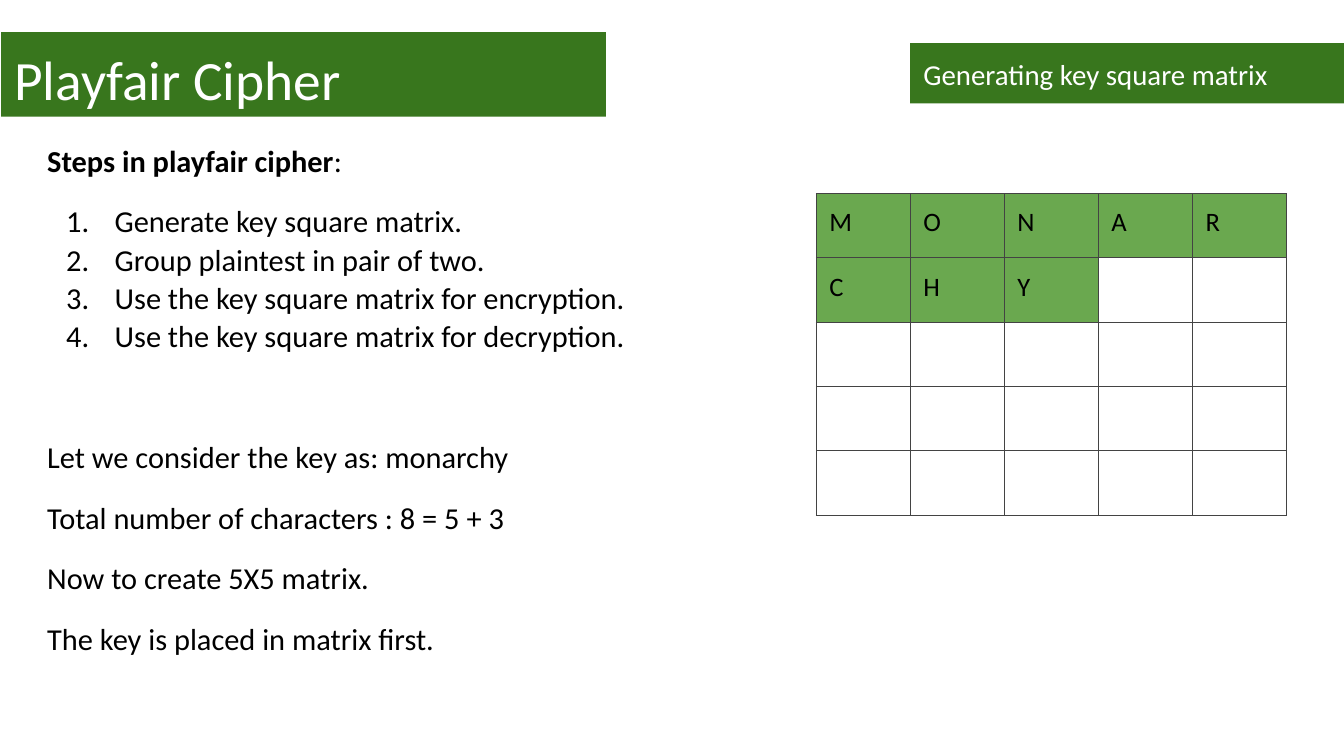
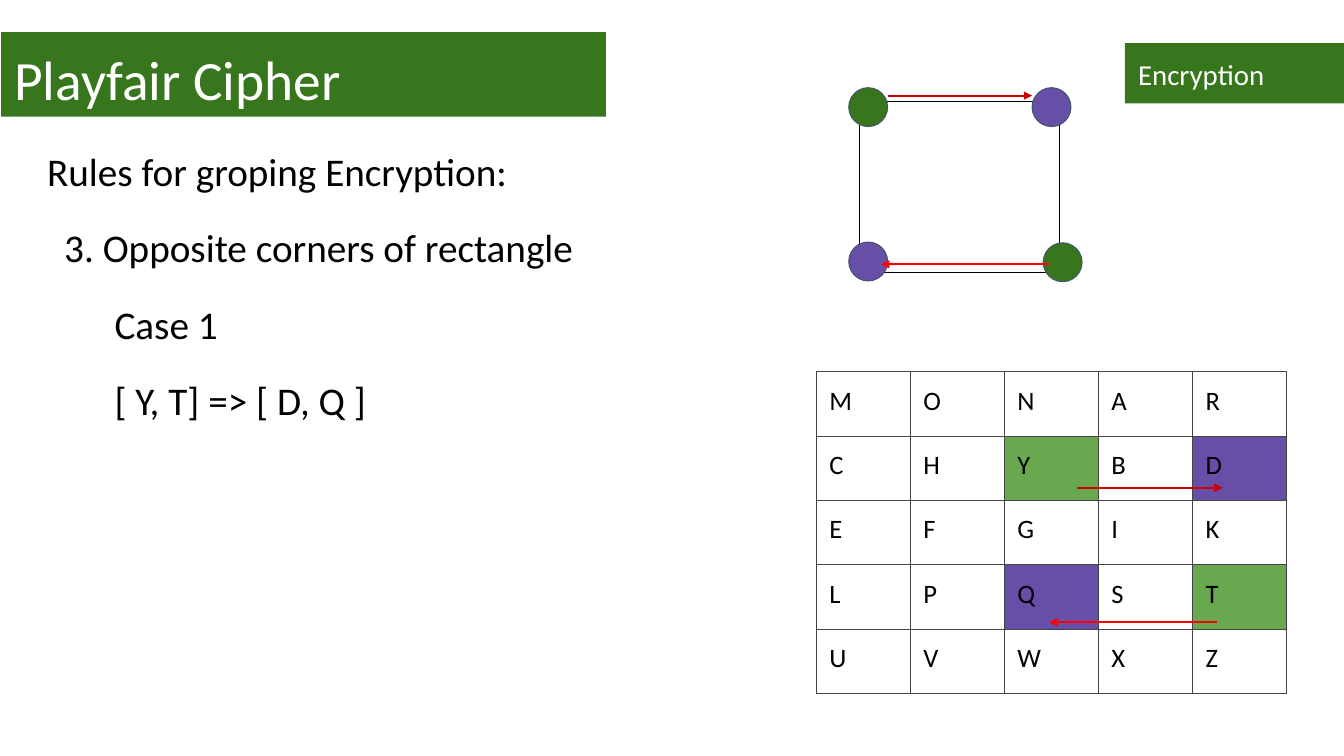
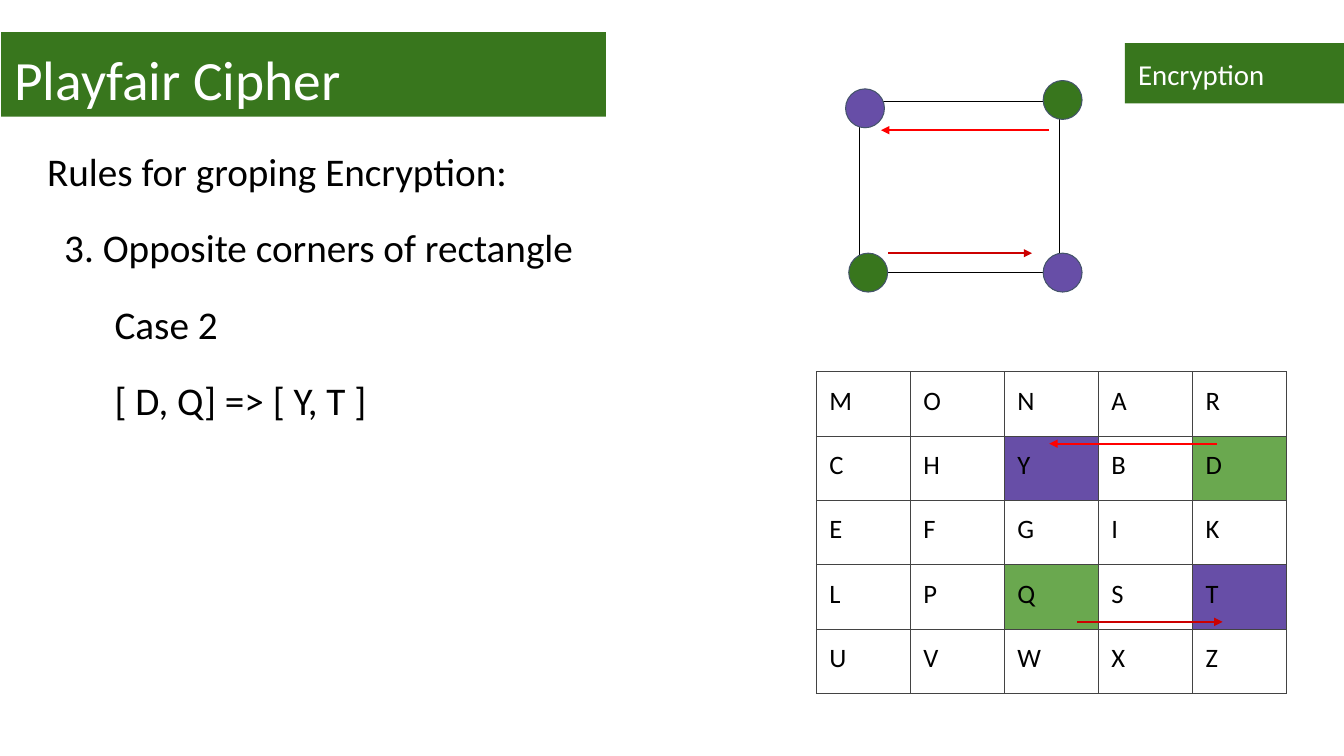
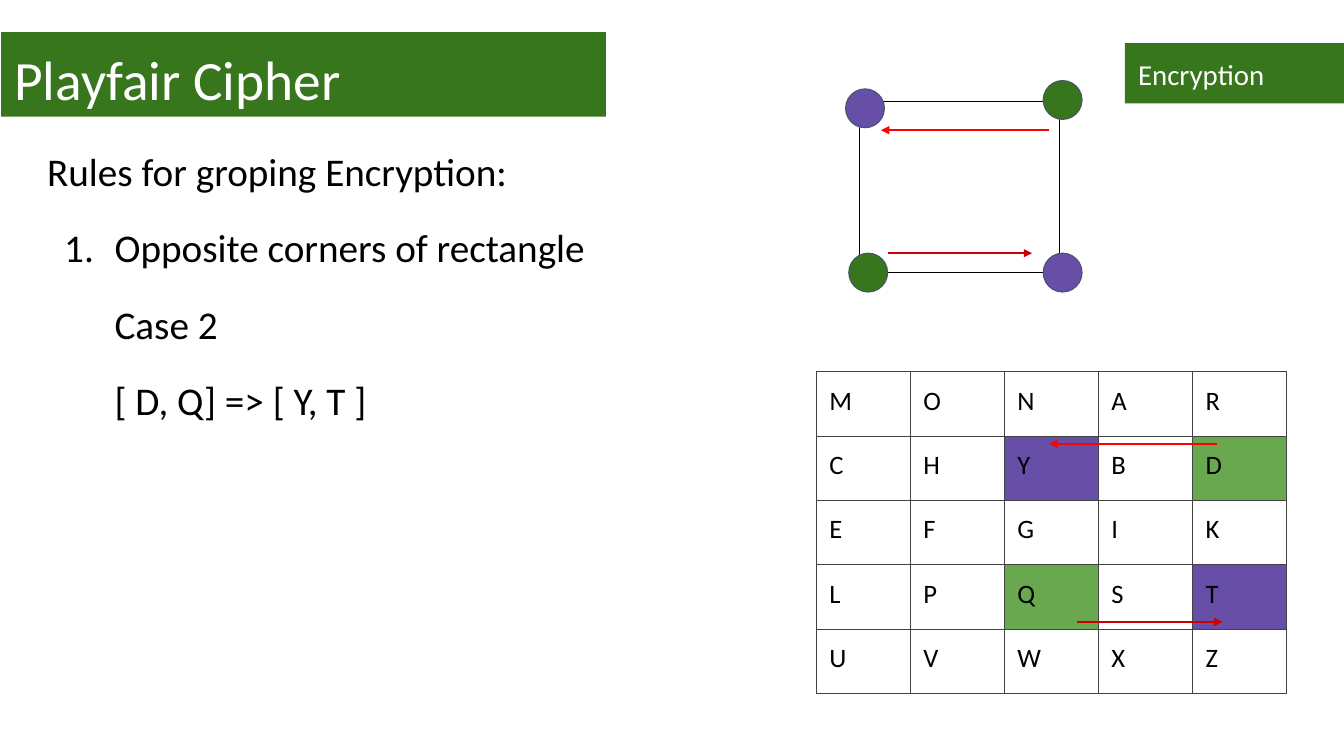
"""Build four slides explaining the Playfair cipher."""
from pptx import Presentation
from pptx.dml.color import RGBColor
from pptx.enum.shapes import MSO_CONNECTOR, MSO_SHAPE
from pptx.enum.text import MSO_ANCHOR, PP_ALIGN
from pptx.oxml.ns import qn
from pptx.util import Cm, Pt
from lxml import etree

RECT, OVAL = MSO_SHAPE.RECTANGLE, MSO_SHAPE.OVAL
STRAIGHT = MSO_CONNECTOR.STRAIGHT
TOP, LEFT = MSO_ANCHOR.TOP, PP_ALIGN.LEFT

GREEN = RGBColor(0x38, 0x76, 0x1D)
LIGHT_GREEN = RGBColor(0x6A, 0xA8, 0x4F)
PURPLE = RGBColor(0x67, 0x4E, 0xA7)
DARK_RED = RGBColor(0xCC, 0x00, 0x00)
RED = RGBColor(0xFF, 0x00, 0x00)
SLATE = RGBColor(0x44, 0x54, 0x6A)
BLACK = RGBColor(0x00, 0x00, 0x00)
WHITE = RGBColor(0xFF, 0xFF, 0xFF)
BORDER = "434343"

FONT = "Calibri"
INSET = Cm(0.33)
WIDTH = 33.87
GRID = 5
COL_W, ROW_H = 2.37, 1.62
DOT = 0.98
SQUARE = "MONARCHYBDEFGIKLPQSTUVWXZ"


def set_frame(tf):
    tf.word_wrap = True
    tf.vertical_anchor = TOP
    tf.margin_left = tf.margin_right = tf.margin_top = tf.margin_bottom = INSET


def add_run(p, text, size, color, bold=False):
    r = p.add_run()
    r.text = text
    r.font.name = FONT
    r.font.size = Pt(size)
    r.font.bold = bold
    r.font.color.rgb = color


STEPS = [
    ("Steps in playfair cipher", ":", 0, 0, 0),
    ("", "Generate key square matrix.", 16, 1.7, -1.22),
    ("", "Group plaintest in pair of two.", 0, 1.7, -1.22),
    ("", "Use the key square matrix for encryption.", 0, 1.7, -1.22),
    ("", "Use the key square matrix for decryption.", 0, 1.7, -1.22),
    ("", "Let we consider the key as: monarchy", 59, 0, 0),
    ("", "Total number of characters : 8 = 5 + 3", 16, 0, 0),
    ("", "Now to create 5X5 matrix.", 16, 0, 0),
    ("", "The key is placed in matrix first.", 16, 0, 0),
]
RULES = ("", "Rules for groping Encryption:", 0, 0, 0)
CORNERS = ("", "3. Opposite corners of rectangle", 16, 0.43, 0)
CORNERS_NUMBERED = ("", "Opposite corners of rectangle", 16, 1.7, -1.27)
CASE_1 = [("", "Case 1", 16, 1.7, 0), ("", "[ Y, T] => [ D, Q ]", 16, 1.7, 0)]
CASE_2 = [("", "Case 2", 16, 1.7, 0), ("", "[ D, Q] => [ Y, T ]", 16, 1.7, 0)]

KEY_FILLS = dict.fromkeys("MONARCHY", LIGHT_GREEN)
FILLS_1 = {"Y": LIGHT_GREEN, "T": LIGHT_GREEN, "D": PURPLE, "Q": PURPLE}
FILLS_2 = {"D": LIGHT_GREEN, "Q": LIGHT_GREEN, "Y": PURPLE, "T": PURPLE}

DOTS_1 = [(21.39, 2.21, GREEN), (26.29, 6.12, GREEN),
          (26.01, 2.21, PURPLE), (21.39, 6.1, PURPLE)]
DOTS_2 = [(26.29, 2.03, GREEN), (21.39, 6.38, GREEN),
          (21.31, 2.24, PURPLE), (26.29, 6.38, PURPLE)]

ARROW_SPANS = [(22.38, 26.01, DARK_RED), (26.44, 22.2, RED),
               (27.15, 30.81, DARK_RED), (30.66, 26.44, RED)]
ARROW_YS_1 = [2.41, 6.66, 12.29, 15.68]
ARROW_YS_2 = [6.38, 3.28, 15.67, 11.18]

KEY_STYLE = (21.7, 1.05, 18.67)
RULE_STYLE = (28, 1.15, 16)
KEY_LABEL = ("Generating key square matrix", 22.94)
ENCRYPTION = ("Encryption", 28.35)

SLIDES = [
    (KEY_LABEL, STEPS, KEY_STYLE, "MONARCHY", 4.88, KEY_FILLS, [], []),
    (ENCRYPTION, [RULES, CORNERS] + CASE_1, RULE_STYLE,
     SQUARE, 9.37, FILLS_1, DOTS_1, ARROW_YS_1),
    (ENCRYPTION, [RULES, CORNERS] + CASE_2, RULE_STYLE,
     SQUARE, 9.37, FILLS_2, DOTS_2, ARROW_YS_2),
    (ENCRYPTION, [RULES, CORNERS_NUMBERED] + CASE_2, RULE_STYLE,
     SQUARE, 9.37, FILLS_2, DOTS_2, ARROW_YS_2),
]

prs = Presentation()
prs.slide_width, prs.slide_height = Cm(WIDTH), Cm(19.05)

for label, paragraphs, style, letters, table_top, fills, dots, arrow_ys in SLIDES:
    s = prs.slides.add_slide(prs.slide_layouts[6])

    label_text, label_left = label
    bands = [("Playfair Cipher", 0.03, 0.81, 15.24, 2.13, 39.6),
             (label_text, label_left, 1.09, WIDTH - label_left, 1.52, 20.6)]
    for text, x, y, w, h, size in bands:
        sp = s.shapes.add_shape(RECT, Cm(x), Cm(y), Cm(w), Cm(h))
        sp.shadow.inherit = False
        sp.fill.solid()
        sp.fill.fore_color.rgb = GREEN
        sp.line.fill.background()
        set_frame(sp.text_frame)
        p = sp.text_frame.paragraphs[0]
        p.alignment = LEFT
        add_run(p, text, size, WHITE)

    size, spacing, body_w = style
    tf = s.shapes.add_textbox(Cm(0.86), Cm(3.2), Cm(body_w), Cm(15.09)).text_frame
    set_frame(tf)
    for i, (bold, text, before, left, indent) in enumerate(paragraphs):
        p = tf.add_paragraph() if i else tf.paragraphs[0]
        p.line_spacing = spacing
        p.space_before = Pt(before)
        pPr = p._p.get_or_add_pPr()
        pPr.set("marL", str(Cm(left)))
        pPr.set("indent", str(Cm(indent)))
        if indent:
            etree.SubElement(pPr, qn("a:buAutoNum"), type="arabicPeriod")
        if bold:
            add_run(p, bold, size, BLACK, True)
        add_run(p, text, size, BLACK)

    table = s.shapes.add_table(GRID, GRID, Cm(20.57), Cm(table_top),
                               Cm(GRID * COL_W), Cm(GRID * ROW_H)).table
    table.first_row = table.horz_banding = False
    for col in table.columns:
        col.width = Cm(COL_W)
    for row in table.rows:
        row.height = Cm(ROW_H)
    for i, cell in enumerate(table.iter_cells()):
        cell.margin_left = cell.margin_right = INSET
        cell.margin_top = cell.margin_bottom = INSET
        tcPr = cell._tc.get_or_add_tcPr()
        for side in ("lnL", "lnR", "lnT", "lnB"):
            ln = etree.SubElement(tcPr, qn("a:" + side), w=str(Pt(0.75)))
            solid = etree.SubElement(ln, qn("a:solidFill"))
            etree.SubElement(solid, qn("a:srgbClr"), val=BORDER)
        letter = letters[i:i + 1]
        if letter in fills:
            cell.fill.solid()
            cell.fill.fore_color.rgb = fills[letter]
        else:
            cell.fill.background()
        if letter:
            add_run(cell.text_frame.paragraphs[0], letter, 19, BLACK)

    if dots:
        sp = s.shapes.add_shape(RECT, Cm(21.65), Cm(2.57), Cm(5.06), Cm(4.29))
        sp.shadow.inherit = False
        sp.fill.background()
        sp.line.color.rgb = BLACK
        sp.line.width = Pt(0.75)
    for x, y, color in dots:
        sp = s.shapes.add_shape(OVAL, Cm(x), Cm(y), Cm(DOT), Cm(DOT))
        sp.shadow.inherit = False
        sp.fill.solid()
        sp.fill.fore_color.rgb = color
        sp.line.color.rgb = SLATE
        sp.line.width = Pt(0.75)

    for (start, end, color), y in zip(ARROW_SPANS, arrow_ys):
        arrow = s.shapes.add_connector(STRAIGHT, Cm(start), Cm(y), Cm(end), Cm(y))
        arrow.line.color.rgb = color
        arrow.line.width = Pt(1.5)
        spPr = arrow.element.spPr
        etree.SubElement(spPr.find(qn("a:ln")), qn("a:tailEnd"), type="triangle")
        etree.SubElement(spPr, qn("a:effectLst"))

prs.save("out.pptx")
